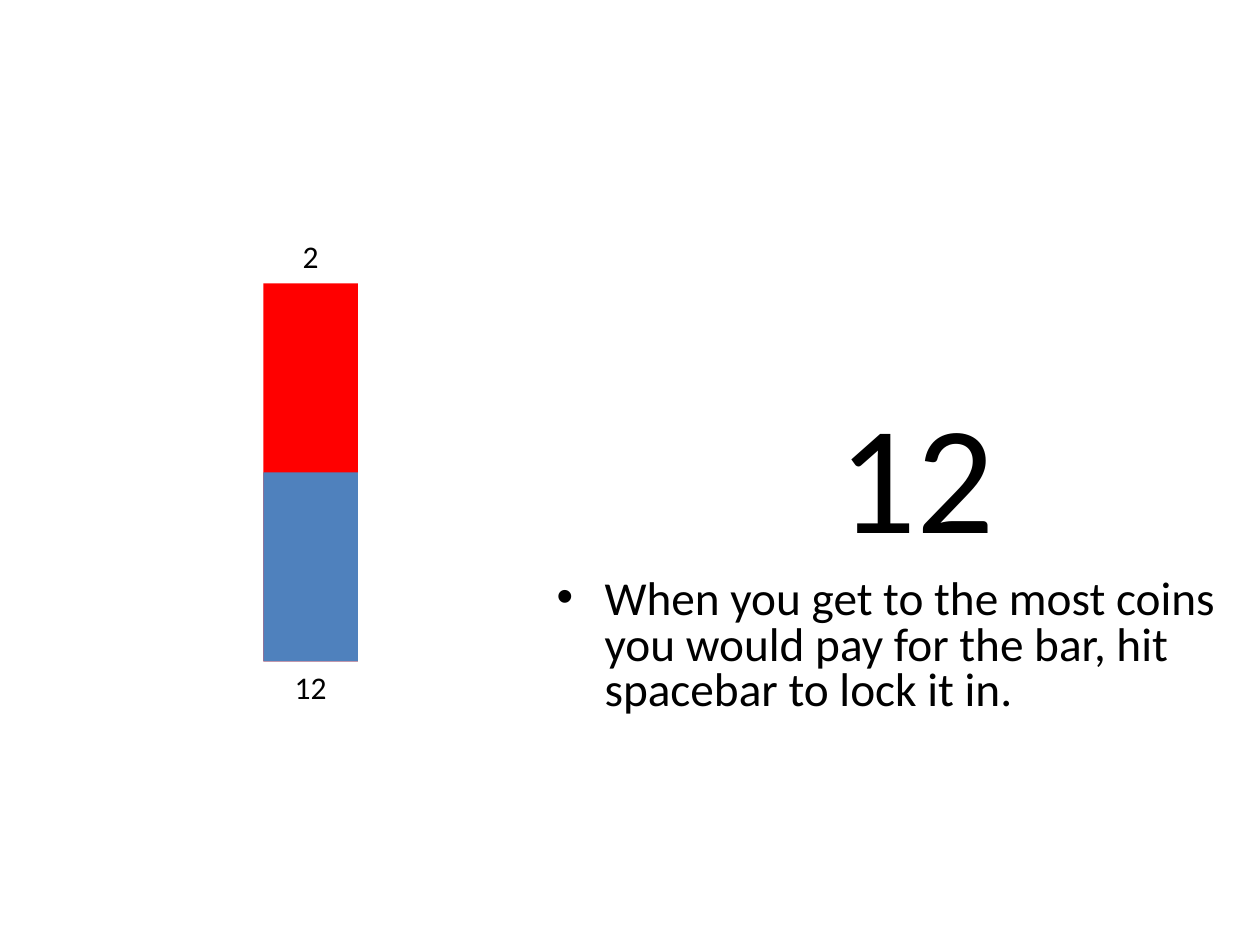
from lxml.etree import SubElement
from pptx import Presentation
from pptx.dml.color import RGBColor
from pptx.enum.shapes import MSO_SHAPE
from pptx.enum.text import PP_ALIGN
from pptx.oxml.ns import qn
from pptx.util import Inches, Pt


def rgb(value):
    return RGBColor.from_string(value)


def add_text(parent, text, left, top, width, height, size, align=PP_ALIGN.LEFT):
    box = parent.shapes.add_textbox(Inches(left), Inches(top), Inches(width), Inches(height))
    box.text_frame.word_wrap = True
    paragraph = box.text_frame.paragraphs[0]
    paragraph.text = text
    paragraph.alignment = align
    font = paragraph.runs[0].font
    font.name, font.size = "Calibri", Pt(size)
    font.color.rgb = rgb("000000")
    return paragraph


prs = Presentation()
prs.slide_width, prs.slide_height = Inches(10), Inches(7.5)
slide = prs.slides.add_slide(prs.slide_layouts[6])

bar_left, bar_top, bar_width, bar_height = 2.09, 2.25, 0.75, 3
bar_bottom = bar_top + bar_height
gauge = slide.shapes.add_group_shape()
for share, color in [(1, "FF0000"), (0.5, "4F81BD")]:
    level = bar_height * share
    bar = gauge.shapes.add_shape(
        MSO_SHAPE.RECTANGLE, Inches(bar_left), Inches(bar_bottom - level),
        Inches(bar_width), Inches(level))
    bar.shadow.inherit = False
    bar.fill.solid()
    bar.fill.fore_color.rgb = rgb(color)
    bar.line.fill.background()

for count, top in [("2", 1.83), ("12", bar_bottom)]:
    add_text(gauge, count, bar_left, top, bar_width, 0.4, 18, PP_ALIGN.CENTER)

add_text(slide, "12", 6.56, 2.96, 1.78, 1.57, 88)

instruction = add_text(
    slide,
    "When you get to the most coins you would pay for the bar, hit spacebar to lock it in.",
    4.32, 4.55, 5.5, 1.28, 27)
instruction.line_spacing = 0.8
instruction.space_before = Pt(6.8)
properties = instruction._p.get_or_add_pPr()
properties.set("marL", str(Inches(0.38)))
properties.set("indent", str(-Inches(0.38)))
SubElement(properties, qn("a:buFont"), typeface="Arial")
SubElement(properties, qn("a:buChar"), char="•")

prs.save("out.pptx")
